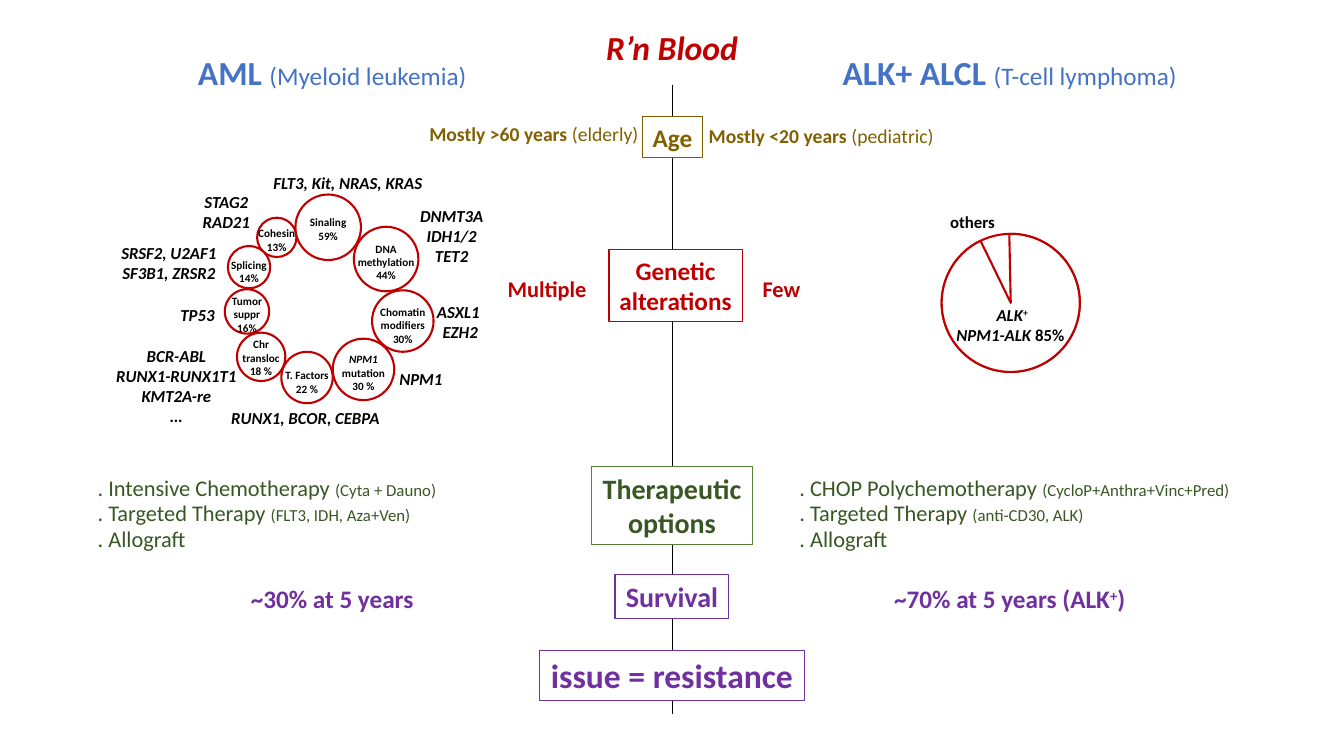
from lxml import etree
from pptx import Presentation
from pptx.dml.color import RGBColor
from pptx.enum.shapes import MSO_CONNECTOR, MSO_SHAPE as Preset
from pptx.enum.text import MSO_ANCHOR, MSO_AUTO_SIZE, PP_ALIGN
from pptx.oxml.ns import qn
from pptx.util import Inches, Pt

BLACK = RGBColor(0x00, 0x00, 0x00)
WHITE = RGBColor(0xFF, 0xFF, 0xFF)
BLUE = RGBColor(0x44, 0x72, 0xC4)
OLIVE = RGBColor(0x80, 0x60, 0x00)
RED = RGBColor(0xC0, 0x00, 0x00)
GREEN = RGBColor(0x38, 0x57, 0x23)
LIGHT_GREEN = RGBColor(0x54, 0x82, 0x35)
PURPLE = RGBColor(0x70, 0x30, 0xA0)

prs = Presentation()
prs.slide_width, prs.slide_height = Inches(13.33), Inches(7.5)
slide = prs.slides.add_slide(prs.slide_layouts[5])
shapes = slide.shapes


def write(holder, lines, size, color, bold=True, italic=False,
          align=PP_ALIGN.CENTER, wrap=False):
    """Fill a shape with lines; a line is a string or a list of (text, changes) runs."""
    frame = holder.text_frame
    frame.word_wrap = wrap
    frame.auto_size = MSO_AUTO_SIZE.SHAPE_TO_FIT_TEXT
    for i, line in enumerate(lines):
        paragraph = frame.add_paragraph() if i else frame.paragraphs[0]
        paragraph.alignment = align
        for text, changes in [(line, {})] if isinstance(line, str) else line:
            run = paragraph.add_run()
            run.text = text
            font = run.font
            font.name = "Calibri"
            font.size = Pt(changes.get("size", size))
            font.bold = changes.get("bold", bold)
            font.italic = changes.get("italic", italic)
            font.color.rgb = color
            if changes.get("raised"):
                run._r.get_or_add_rPr().set("baseline", "30000")


def outline(preset, box, color, weight):
    """Add a white preset shape with a coloured border."""
    shape = shapes.add_shape(preset, *map(Inches, box))
    shape.shadow.inherit = False
    shape.fill.solid()
    shape.fill.fore_color.rgb = WHITE
    shape.line.color.rgb = color
    shape.line.width = Pt(weight)
    return shape


# Title and the two disease headings
title = shapes.title
title.left, title.top, title.width, title.height = map(Inches, (5.64, 0.22, 2.05, 0.5))
title.text_frame.vertical_anchor = MSO_ANCHOR.TOP
write(title, ["R’n Blood"], 24, RED, italic=True, wrap=True)

LIGHT = {"bold": False}
HEADINGS = [
    ((1.85, 0.47, 2.89, 0.5), "AML ", "(Myeloid leukemia)"),
    ((8.23, 0.47, 3.57, 0.5), "ALK+ ALCL ", "(T-cell lymphoma)"),
]
for box, disease, family in HEADINGS:
    heading = shapes.add_textbox(*map(Inches, box))
    write(heading, [[(disease, {}), (family, {"size": 18, "bold": False})]], 24, BLUE)

# Central axis with its criteria
axis = shapes.add_connector(MSO_CONNECTOR.STRAIGHT, Inches(6.67), Inches(0.84),
                            Inches(6.67), Inches(7.08))
axis.line.color.rgb = BLACK
axis.line.width = Pt(0.5)
etree.SubElement(axis._element.spPr, qn("a:effectLst"))

CRITERIA = [
    ((6.37, 1.16, 0.6, 0.4), ["Age"], 18, OLIVE, OLIVE),
    ((6.04, 2.48, 1.32, 0.71), ["Genetic", "alterations"], 18, RED, RED),
    ((5.87, 4.63, 1.59, 0.77), ["Therapeutic", "options"], 20, GREEN, LIGHT_GREEN),
    ((6.1, 5.7, 1.13, 0.44), ["Survival"], 20, PURPLE, PURPLE),
    ((5.35, 6.45, 2.63, 0.5), ["issue = resistance"], 24, PURPLE, PURPLE),
]
for box, lines, size, color, border in CRITERIA:
    write(outline(Preset.RECTANGLE, box, border, 0.75), lines, size, color)

# Findings on either side of the axis
FINDINGS = [
    ((4.14, 1.16, 2.31, 0.34), [("Mostly >60 years ", {}), ("(elderly)", LIGHT)], 14, OLIVE),
    ((6.92, 1.18, 2.45, 0.34), [("Mostly <20 years ", {}), ("(pediatric)", LIGHT)], 14, OLIVE),
    ((4.93, 2.68, 0.99, 0.37), "Multiple", 16, RED),
    ((7.46, 2.68, 0.58, 0.37), "Few", 16, RED),
    ((2.38, 5.74, 1.83, 0.4), "~30% at 5 years", 18, PURPLE),
    ((8.75, 5.74, 2.53, 0.4),
     [("~70% at 5 years (ALK", {}), ("+", {"raised": True}), (")", {})], 18, PURPLE),
]
for box, line, size, color in FINDINGS:
    write(shapes.add_textbox(*map(Inches, box)), [line], size, color)

# AML: ring of altered pathways (left, top, diameter, label top, label width, label)
PATHWAYS = [
    (3.3, 3.36, 0.61, 3.45, 0.63, [[("NPM1", {"italic": True})], "mutation", "30 %"]),
    (2.55, 2.16, 0.39, 2.2, 0.57, ["Cohesin", "13%"]),
    (2.26, 2.44, 0.42, 2.51, 0.56, ["Splicing", "14%"]),
    (2.93, 1.93, 0.65, 2.09, 0.57, ["Sinaling", "59%"]),
    (2.23, 2.87, 0.44, 2.87, 0.51, ["Tumor", "suppr", "16%"]),
    (2.35, 3.3, 0.48, 3.3, 0.58, ["Chr", "transloc", "18 %"]),
    (2.79, 3.49, 0.51, 3.61, 0.65, ["T. Factors", "22 %"]),
    (3.51, 2.25, 0.64, 2.35, 0.77, ["DNA", "methylation", "44%"]),
    (3.69, 2.88, 0.61, 2.98, 0.65, ["Chomatin", "modifiers", "30%"]),
]
for left, top, diameter, *_ in PATHWAYS:
    outline(Preset.OVAL, (left, top, diameter, diameter), RED, 1.5)
for left, top, diameter, label_top, width, lines in PATHWAYS:
    label_left = left + (diameter - width) / 2
    height = 0.1 + 0.13 * len(lines)
    label = shapes.add_textbox(*map(Inches, (label_left, label_top, width, height)))
    write(label, lines, 8, BLACK)

GENES = [
    ((2.6, 1.66, 1.74, 0.3), ["FLT3, Kit, NRAS, KRAS "]),
    ((4.06, 1.99, 0.84, 0.71), ["DNMT3A", "IDH1/2", "TET2"]),
    ((4.23, 2.94, 0.67, 0.5), ["ASXL1 ", "EZH2"]),
    ((3.86, 3.61, 0.63, 0.3), ["NPM1"]),
    ((2.18, 4, 1.7, 0.3), ["RUNX1, BCOR, CEBPA"]),
    ((1.02, 3.38, 1.46, 0.91), ["BCR-ABL", "RUNX1-RUNX1T1", "KMT2A-re", "…"]),
    ((1.69, 2.97, 0.54, 0.3), ["TP53"]),
    ((1.05, 2.36, 1.25, 0.5), ["SRSF2, U2AF1", "SF3B1, ZRSR2"]),
    ((1.89, 1.85, 0.71, 0.5), ["STAG2", "RAD21"]),
]
for box, lines in GENES:
    write(shapes.add_textbox(*map(Inches, box)), lines, 12, BLACK, italic=True)

# ALCL: disc with the ALK share; angles in degrees, clockwise from the right
disc_box = (9.34, 2.32, 1.37, 1.37)
outline(Preset.OVAL, disc_box, RED, 1.5)
alk_share = outline(Preset.PIE, disc_box, RED, 1.5)
for i, degrees in enumerate((268.8, 244.05)):
    alk_share.adjustments[i] = degrees * 60000 / 100000

others = shapes.add_textbox(*map(Inches, (9.27, 2.05, 0.75, 0.3)))
write(others, ["others"], 12, BLACK, wrap=True)
alk = shapes.add_textbox(*map(Inches, (9.36, 2.97, 1.36, 0.5)))
write(alk, [[("ALK", {}), ("+", {"raised": True})],
            [("NPM1-ALK ", {}), ("85% ", {"italic": False})]],
      12, BLACK, italic=True, wrap=True)

# Therapies, one row each
THERAPIES = [
    (0.87, [(3.6, ". Intensive Chemotherapy ", "(Cyta + Dauno)"),
            (3.34, ". Targeted Therapy ", "(FLT3, IDH, Aza+Ven)"),
            (1.09, ". Allograft", "")]),
    (7.83, [(4.76, ". CHOP Polychemotherapy ", "(CycloP+Anthra+Vinc+Pred)"),
            (3.05, ". Targeted Therapy ", "(anti-CD30, ALK)"),
            (1.09, ". Allograft", "")]),
]
for left, rows in THERAPIES:
    for i, (width, therapy, agents) in enumerate(rows):
        row = shapes.add_textbox(Inches(left), Inches(4.65 + 0.255 * i),
                                 Inches(width), Inches(0.37))
        runs = [(therapy, {})]
        if agents:
            runs.append((agents, {"size": 12}))
        write(row, [runs], 16, GREEN, bold=False, align=PP_ALIGN.LEFT)

prs.save("out.pptx")
